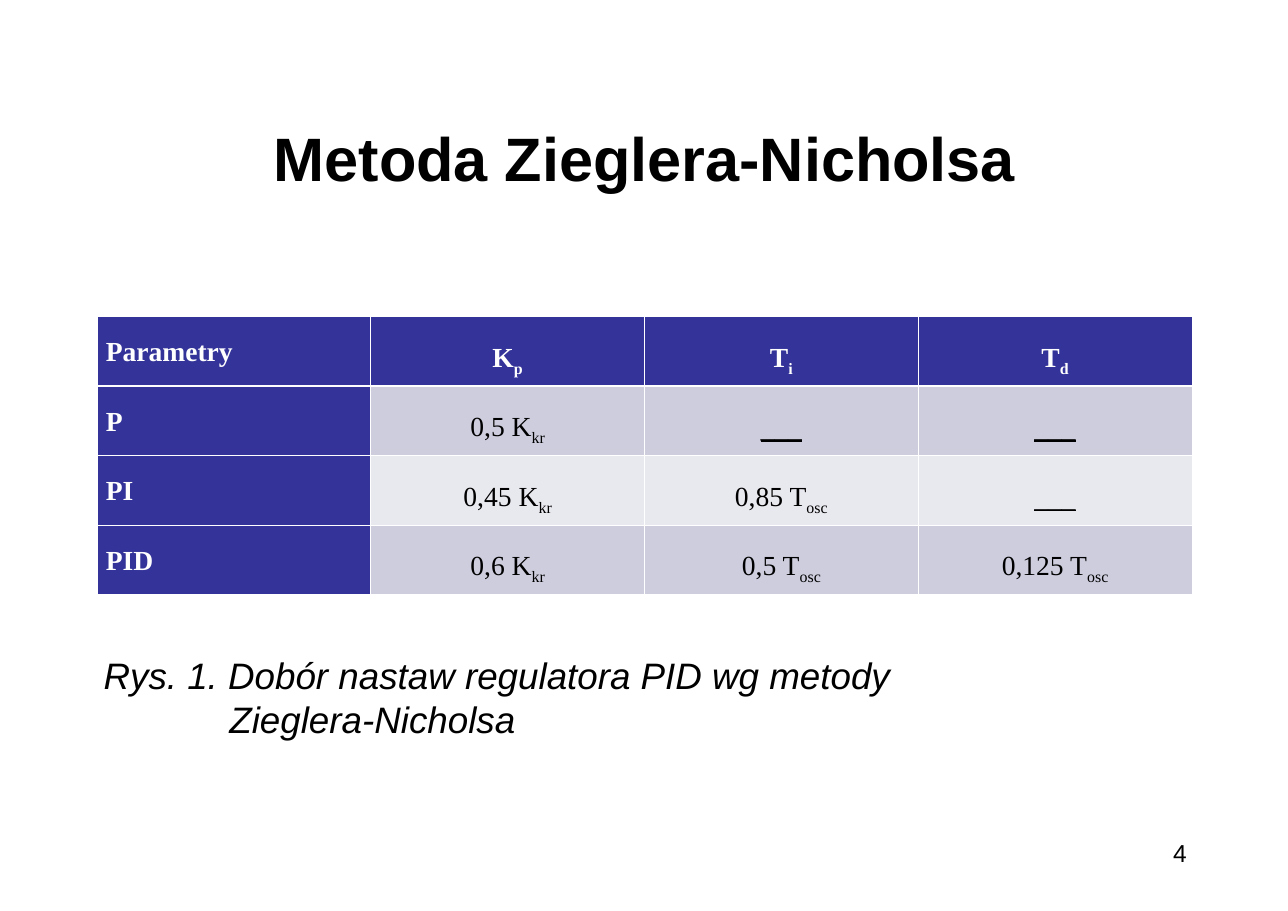
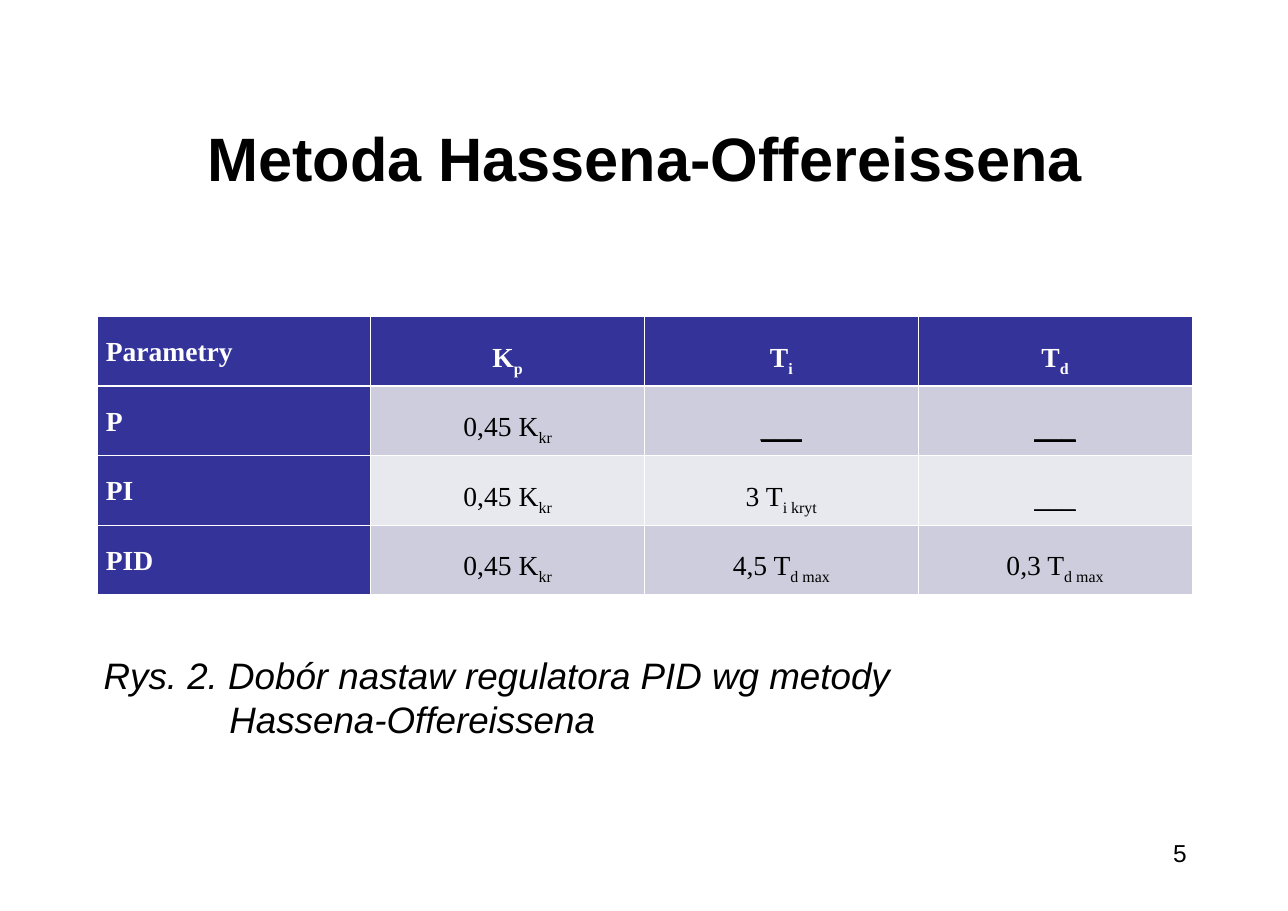
from lxml import etree
from pptx import Presentation
from pptx.dml.color import RGBColor
from pptx.enum.text import MSO_ANCHOR, PP_ALIGN
from pptx.oxml.ns import qn
from pptx.util import Inches, Pt

TOP, MIDDLE = MSO_ANCHOR.TOP, MSO_ANCHOR.MIDDLE
LEFT, CENTER = PP_ALIGN.LEFT, PP_ALIGN.CENTER
RIGHT, JUSTIFY = PP_ALIGN.RIGHT, PP_ALIGN.JUSTIFY

# Content: a cell is (text, subscript)
EMPTY = ("___", "")
HEADER = [("Parametry", ""), ("K", "p"), ("T", "i"), ("T", "d")]
REGULATORS = ["P", "PI", "PID"]
CAPTION = "Rys. {}. Dobór nastaw regulatora PID wg metody"
FIRST_PAGE = 4
METHODS = [
    ("Zieglera-Nicholsa", [
        [("0,5 K", "kr"), EMPTY, EMPTY],
        [("0,45 K", "kr"), ("0,85 T", "osc"), EMPTY],
        [("0,6 K", "kr"), ("0,5 T", "osc"), ("0,125 T", "osc")],
    ]),
    ("Hassena-Offereissena", [
        [("0,45 K", "kr"), EMPTY, EMPTY],
        [("0,45 K", "kr"), ("3 T", "i kryt"), EMPTY],
        [("0,45 K", "kr"), ("4,5 T", "d max"), ("0,3 T", "d max")],
    ]),
]

# Shared look
BLACK = RGBColor(0x00, 0x00, 0x00)
WHITE = RGBColor(0xFF, 0xFF, 0xFF)
NAVY = RGBColor(0x33, 0x33, 0x99)
BAND_DARK = RGBColor(0xCD, 0xCD, 0xDE)
BAND_LIGHT = RGBColor(0xE8, 0xE8, 0xEF)
SANS, SERIF = "Arial", "Times New Roman"
THIN, THICK = Pt(0.45), Pt(1.47)
MARGIN, CONTENT_W = Inches(0.88), Inches(9.93)
TABLE_TOP, ROW_H = Inches(2.87), Inches(0.63)
CAPTION_INDENT = Inches(1.14)


def add_run(paragraph, text, size, font_name=SANS, color=BLACK, bold=False, italic=False):
    run = paragraph.add_run()
    run.text = text
    font = run.font
    font.name, font.size, font.bold, font.italic = font_name, Pt(size), bold, italic
    font.color.rgb = color
    return run


def prepare_frame(frame, anchor, align):
    frame.word_wrap = True
    frame.vertical_anchor = anchor
    frame.margin_left = frame.margin_right = Inches(0.06)
    frame.margin_top = frame.margin_bottom = Inches(0.06)
    paragraph = frame.paragraphs[0]
    paragraph.alignment = align
    return paragraph


def set_borders(cell, row):
    widths = {"L": THIN, "R": THIN,
              "T": THICK if row == 1 else THIN,
              "B": THICK if row == 0 else THIN}
    properties = cell._tc.get_or_add_tcPr()
    for side, width in widths.items():
        line = etree.SubElement(properties, qn(f"a:ln{side}"), w=str(int(width)))
        fill = etree.SubElement(line, qn("a:solidFill"))
        etree.SubElement(fill, qn("a:srgbClr"), val=str(WHITE))


def fill_cell(cell, row, col, content):
    text, subscript = content
    is_heading = row == 0 or col == 0
    set_borders(cell, row)
    cell.fill.solid()
    cell.fill.fore_color.rgb = (
        NAVY if is_heading else BAND_DARK if row % 2 else BAND_LIGHT)
    cell.margin_left = cell.margin_right = Inches(0.08)
    cell.margin_top = cell.margin_bottom = Inches(0.05)
    cell.vertical_anchor = MIDDLE if col else TOP
    paragraph = cell.text_frame.paragraphs[0]
    paragraph.alignment = CENTER if col else JUSTIFY
    paragraph.line_spacing = 1.5
    style = (18, SERIF, WHITE if is_heading else BLACK, is_heading)
    run = add_run(paragraph, text, *style)
    if content == EMPTY:
        run.font.underline = True
    if subscript:
        lowered = add_run(paragraph, subscript, *style)
        lowered._r.get_or_add_rPr().set("baseline", "-25000")


def add_settings_table(slide, settings):
    rows = [HEADER] + [[(name, "")] + values
                       for name, values in zip(REGULATORS, settings)]
    table = slide.shapes.add_table(
        len(rows), len(HEADER), MARGIN, TABLE_TOP, CONTENT_W, ROW_H * len(rows)).table
    table.first_row = table.horz_banding = False
    for r, row in enumerate(rows):
        table.rows[r].height = ROW_H
        for c, content in enumerate(row):
            fill_cell(table.cell(r, c), r, c, content)


def add_caption(slide, number, method):
    box = slide.shapes.add_textbox(MARGIN, Inches(5.86), CONTENT_W, Inches(1.02))
    paragraph = prepare_frame(box.text_frame, TOP, LEFT)
    # Hanging indent lines the method up under the caption text
    properties = paragraph._p.get_or_add_pPr()
    properties.set("marL", str(int(CAPTION_INDENT)))
    properties.set("indent", str(-int(CAPTION_INDENT)))
    add_run(paragraph, CAPTION.format(number), 24, italic=True)
    paragraph.add_line_break()
    add_run(paragraph, method, 24, italic=True)


def add_method_slide(prs, number, method, settings):
    slide = prs.slides.add_slide(prs.slide_layouts[5])
    # Title
    title = slide.shapes.title
    title.left, title.top = MARGIN, Inches(0.73)
    title.width, title.height = CONTENT_W, Inches(1.38)
    add_run(prepare_frame(title.text_frame, MIDDLE, CENTER),
            f"Metoda {method}", 40, bold=True)
    # Table and caption
    add_settings_table(slide, settings)
    add_caption(slide, number, method)
    # Page number
    page = slide.shapes.add_textbox(Inches(10.44), Inches(7.54), Inches(0.38), Inches(0.36))
    add_run(prepare_frame(page.text_frame, TOP, RIGHT), str(FIRST_PAGE + number - 1), 16)


def main():
    prs = Presentation()
    prs.slide_width, prs.slide_height = Inches(11.68), Inches(8.26)
    for number, (method, settings) in enumerate(METHODS, start=1):
        add_method_slide(prs, number, method, settings)
    prs.save("out.pptx")


if __name__ == "__main__":
    main()
